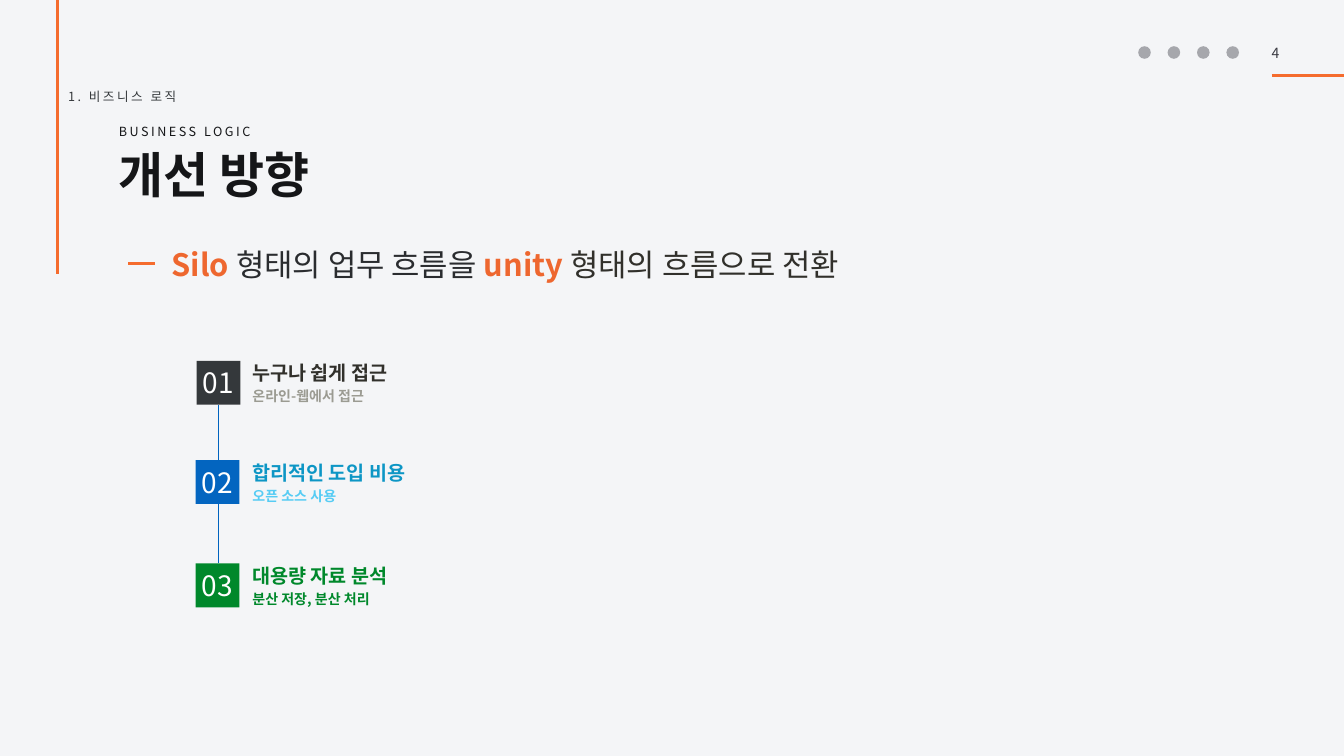
from lxml import etree
from pptx import Presentation
from pptx import util as u
from pptx.dml import color
from pptx.enum import shapes, text
from pptx.oxml import ns

Pt = u.Pt
theme = {
    "font": "Noto Sans CJK KR",
    "back": "F4F5F7", "accent": "F56C2E", "key": "EE672F",
    "icon": "A6A7AC", "link": "0063BF", "white": "FFFFFF",
    "ink": "151618", "dark": "34383B", "lead": "2A2C2F",
    "warm": "31302B", "grey": "9B9B92", "page": "393941",
    "blue": "0365C0", "sky": "0D96C5", "pale": "56CCF4", "green": "00882B",
    "title": 70, "claim": 44, "digit": 40, "head": 28, "note": 20, "label": 18,
}


def write(shape, runs, size, frame, align=text.PP_ALIGN.LEFT, space=0):
    tf = shape.text_frame
    base = {"auto_size": text.MSO_AUTO_SIZE.NONE, "word_wrap": True,
            "vertical_anchor": text.MSO_ANCHOR.MIDDLE}
    for name, val in {**base, **frame}.items():
        setattr(tf, name, val)
    para = tf.paragraphs[0]
    para.alignment = align
    for words, tone, bold in runs:
        run = para.add_run()
        run.text = words
        looks = {"name": theme["font"], "size": Pt(theme[size]), "bold": bold}
        for name, val in looks.items():
            setattr(run.font, name, val)
        run.font.color.rgb = color.RGBColor.from_string(theme[tone])
        props = run._r.get_or_add_rPr()
        props.set("spc", str(space))
        east = etree.SubElement(props, ns.qn("a:ea"))
        east.set("typeface", theme["font"])
    return para


def block(kind, x, y, w, h, tone):
    shape = slide.shapes.add_shape(kind, Pt(x), Pt(y), Pt(w), Pt(h))
    shape.shadow.inherit = False
    shape.fill.solid()
    shape.fill.fore_color.rgb = color.RGBColor.from_string(theme[tone])
    shape.line.fill.background()
    return shape


sides = ("margin_left", "margin_right", "margin_top", "margin_bottom")
tight = dict.fromkeys(sides, Pt(2.9))
flat = {"margin_top": 0, "margin_bottom": 0}

deck = Presentation()
deck.slide_width, deck.slide_height = Pt(1920), Pt(1080)
slide = deck.slides.add_slide(deck.slide_layouts[5])
fill = slide.background.fill
fill.solid()
fill.fore_color.rgb = color.RGBColor.from_string(theme["back"])

title = slide.shapes.title
place = {"left": 166.3, "top": 219.6, "width": 716, "height": 93.6}
for name, val in place.items():
    setattr(title, name, Pt(val))
top = {**tight, "vertical_anchor": text.MSO_ANCHOR.TOP}
write(title, [("개선 방향", "ink", True)], "title", top).line_spacing = 0.8

lines = [
    (1817, 108, 1920, 108, "accent", 4),
    (82, 0, 82, 392, "accent", 4),
    (183, 376.5, 222, 376.5, "accent", 4),
    (312.3, 578, 312.3, 805, "link", 0.75),
]
for x1, y1, x2, y2, tone, width in lines:
    line = slide.shapes.add_connector(
        shapes.MSO_CONNECTOR.STRAIGHT, Pt(x1), Pt(y1), Pt(x2), Pt(y2))
    line.line.color.rgb = color.RGBColor.from_string(theme[tone])
    line.line.width = Pt(width)
    etree.SubElement(line._element.spPr, ns.qn("a:effectLst"))

for i in range(4):
    block(shapes.MSO_SHAPE.OVAL, 1626 + 42 * i, 66, 18, 18, "icon")

claim = [("Silo ", "key", True), ("형태의 업무 흐름을 ", "lead", False),
         ("unity ", "key", True), ("형태의 흐름으로 전환", "warm", False)]
items = [
    (280.8, 515.5, 515.5, "dark", "누구나 쉽게 접근", "warm", "온라인-웹에서 접근", "grey"),
    (279.4, 657.4, 658.8, "blue", "합리적인 도입 비용", "sky", "오픈 소스 사용", "pale"),
    (279.4, 805, 805, "green", "대용량 자료 분석", "green", "분산 저장, 분산 처리", "green"),
]
boxes = [
    (1813.7, 59.8, 48, 30.2, [("4", "page", False)], "note", tight, 400),
    (167, 173.5, 305, 28, [("BUSINESS LOGIC", "ink", False)], "label", tight, 360),
    (94.3, 124.5, 305, 28, [("1. 비즈니스 로직", "dark", False)], "label", tight, 360),
    (238, 343.5, 1100, 68.4, claim, "claim", {}, 0),
]
for i, (x, y, row, tone, head, hue, note, tint) in enumerate(items, 1):
    box = block(shapes.MSO_SHAPE.RECTANGLE, x, y, 62.6, 62.6, tone)
    write(box, [(f"{i:02}", "white", False)], "digit",
          {"word_wrap": False}, text.PP_ALIGN.CENTER)
    boxes.append((353.5, row, 332, 33.8, [(head, hue, True)], "head", flat, 0))
    boxes.append((353.5, row + 38, 332, 24.5, [(note, tint, True)], "note", flat, 0))

for x, y, w, h, runs, size, frame, space in boxes:
    box = slide.shapes.add_textbox(Pt(x), Pt(y), Pt(w), Pt(h))
    write(box, runs, size, frame, space=space)

deck.save("out.pptx")
